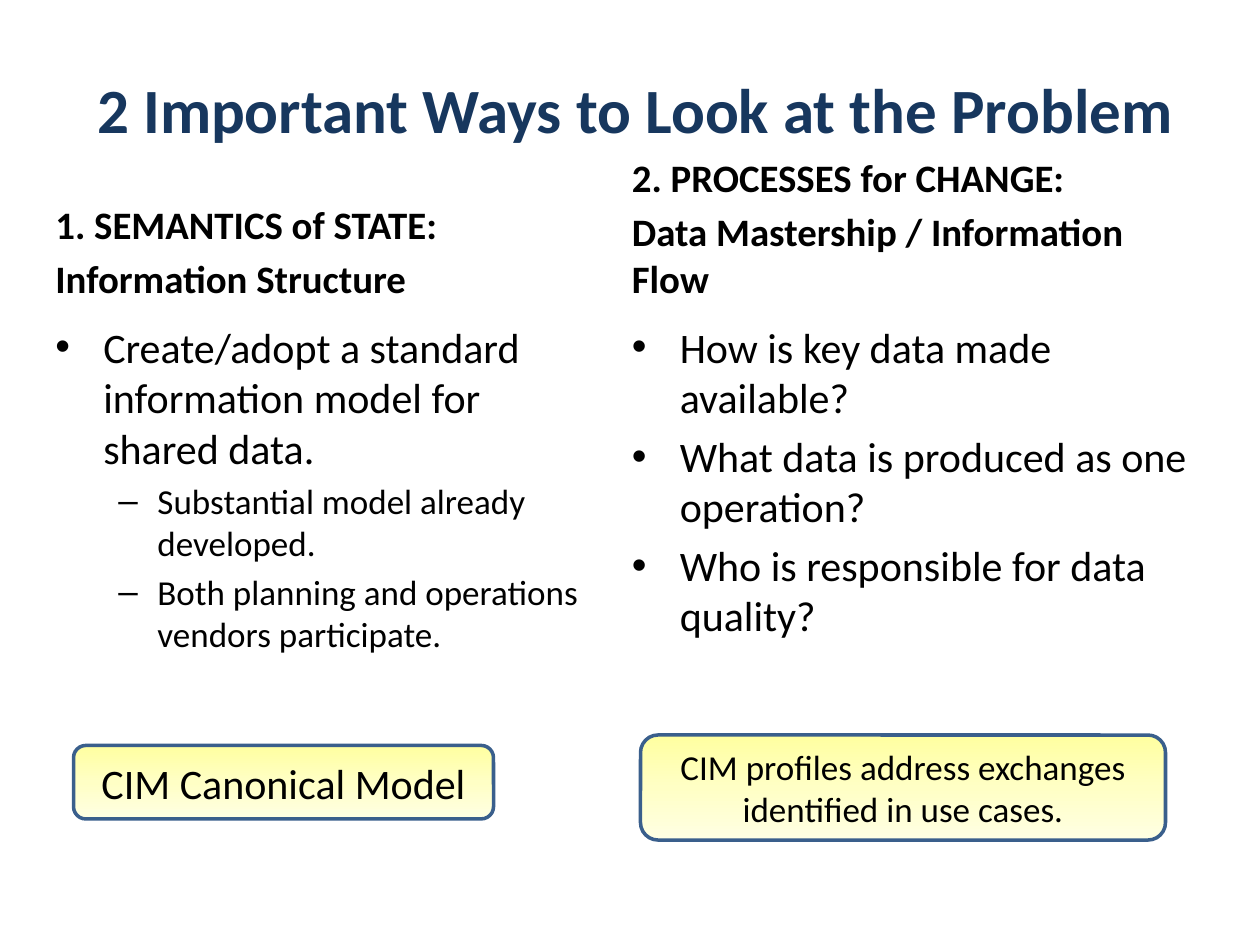
from copy import deepcopy
from lxml import etree
from pptx import Presentation
from pptx.dml.color import RGBColor
from pptx.enum.shapes import MSO_SHAPE
from pptx.enum.text import MSO_ANCHOR, MSO_AUTO_SIZE, PP_ALIGN
from pptx.oxml.ns import qn
from pptx.util import Inches, Pt

ROUND = MSO_SHAPE.ROUNDED_RECTANGLE
TOP, MID, BASE = MSO_ANCHOR.TOP, MSO_ANCHOR.MIDDLE, MSO_ANCHOR.BOTTOM
LEFT, CENTER = PP_ALIGN.LEFT, PP_ALIGN.CENTER
FONT, NAVY, BLACK, EDGE = "Calibri", "17375E", "000000", "3A5F8C"
GLOW = [(0, "FFFFA0"), (0.5, "FFFFC5"), (1, "FFFFE3")]
# Bullet levels: sign, size, text indent, hanging indent
LEVELS = [("•", 24, 0.38, 0.38), ("–", 20, 0.81, 0.31)]


def grid(n):
    """Length of n grid cells, twelve to the inch."""
    return Inches(n / 12)


def color(code):
    return RGBColor.from_string(code)


def place(shape, box):
    shape.left, shape.top, shape.width, shape.height = map(grid, box)


def set_frame(frame, anchor):
    frame.word_wrap = True
    frame.auto_size = MSO_AUTO_SIZE.NONE
    frame.vertical_anchor = anchor
    return frame


def add_line(frame, i, text, size, align=LEFT, bold=False, ink=BLACK):
    para = frame.paragraphs[0] if i == 0 else frame.add_paragraph()
    para.alignment = align
    if i:
        para.space_before = Pt(round(size * 0.2, 1))
    run = para.add_run()
    run.text = text
    font = run.font
    font.name, font.size, font.bold = FONT, Pt(size), bold
    font.color.rgb = color(ink)
    return para


def add_title(slide, box, text):
    title = slide.shapes.title
    place(title, box)
    add_line(set_frame(title.text_frame, MID), 0, text, 36, CENTER, True, NAVY)


def add_text(slide, box, anchor):
    left, top, width, height = map(grid, box)
    shape = slide.shapes.add_textbox(left, top, width, height)
    return set_frame(shape.text_frame, anchor)


def add_column(slide, box, heads, items):
    """Heading above a bulleted list."""
    left, top, width, height = box
    head, gap = 10.8, 0.7
    frame = add_text(slide, (left, top, width, head), BASE)
    for i, text in enumerate(heads):
        add_line(frame, i, text, 22.2, bold=True)

    start = head + gap
    frame = add_text(slide, (left, top + start, width, height - start), TOP)
    for i, (level, text) in enumerate(items):
        sign, size, indent, hang = LEVELS[level]
        para = add_line(frame, i, text, size)
        para.level = level
        props = para._p.get_or_add_pPr()
        props.set("marL", str(Inches(indent)))
        props.set("indent", str(-Inches(hang)))
        etree.SubElement(props, qn("a:buFont")).set("typeface", "Arial")
        etree.SubElement(props, qn("a:buChar")).set("char", sign)


def add_badge(slide, box, text, size):
    """Rounded box with a yellow fade from top to bottom."""
    shape = slide.shapes.add_shape(ROUND, *map(grid, box))
    shape.shadow.inherit = False
    shape.line.color.rgb = color(EDGE)
    shape.line.width = Pt(2)
    fill = shape.fill
    fill.gradient()
    fill.gradient_angle = 270
    # The default fade has two stops; add a middle one
    first = shape._element.spPr.find(".//" + qn("a:gs"))
    first.addnext(deepcopy(first))
    for stop, (pos, code) in zip(fill.gradient_stops, GLOW):
        stop.position = pos
        stop.color.rgb = color(code)
    add_line(set_frame(shape.text_frame, MID), 0, text, size, CENTER)


def main():
    deck = Presentation()
    deck.slide_width, deck.slide_height = Inches(10), Inches(7.5)
    slide = deck.slides.add_slide(deck.slide_layouts[5])

    add_title(slide, (5, 3.6, 111, 13.4),
              "2 Important Ways to Look at the Problem")

    # Left: state
    add_column(slide, (4.1, 18.5, 54, 51),
               ["1. SEMANTICS of STATE:", "Information Structure"],
               [(0, "Create/adopt a standard information model for shared data."),
                (1, "Substantial model already developed."),
                (1, "Both planning and operations vendors participate.")])
    add_badge(slide, (7, 71, 40, 7), "CIM Canonical Model", 24)

    # Right: change
    add_column(slide, (59, 18.5, 57, 45.5),
               ["2. PROCESSES for CHANGE:", "Data Mastership / Information Flow"],
               [(0, "How is key data made available?"),
                (0, "What data is produced as one operation?"),
                (0, "Who is responsible for data quality?")])
    add_badge(slide, (61, 70, 50, 10),
              "CIM profiles address exchanges identified in use cases.", 20)

    deck.save("out.pptx")


if __name__ == "__main__":
    main()
